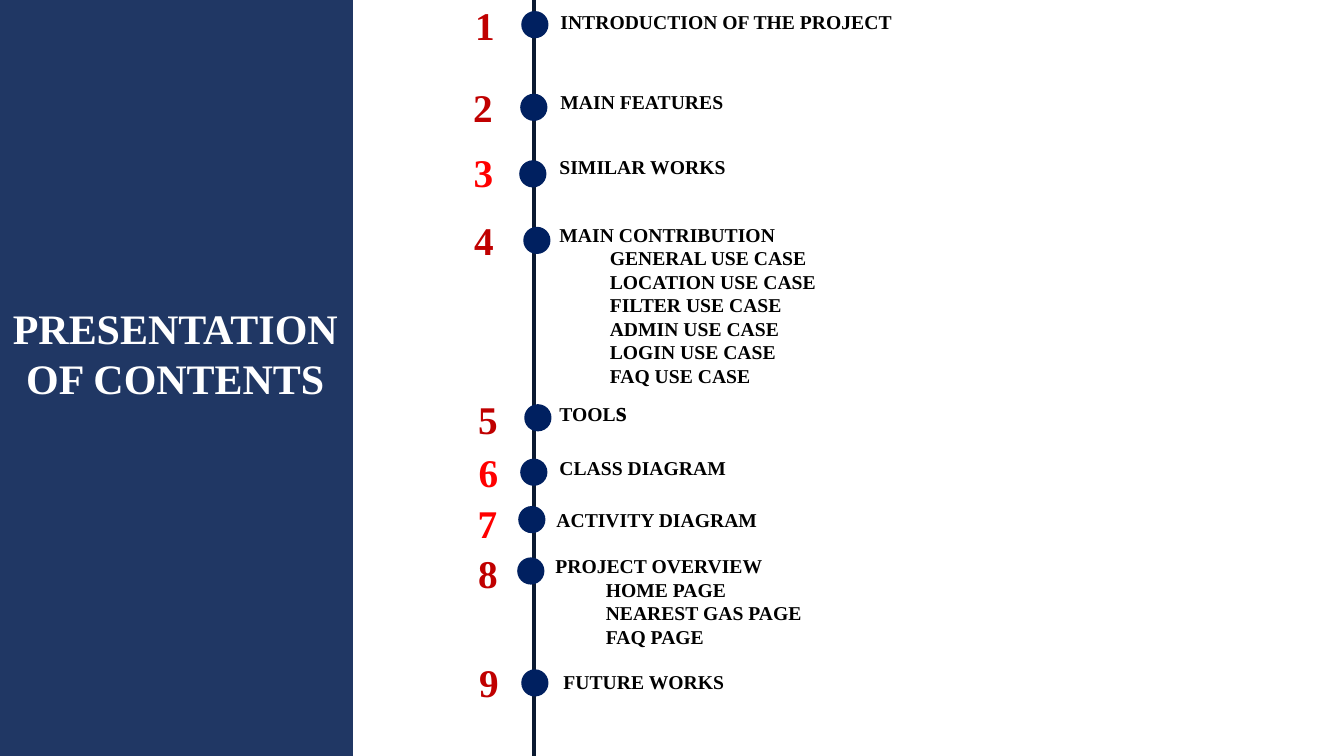
from lxml.etree import SubElement
from pptx import Presentation
from pptx.dml.color import RGBColor
from pptx.enum.shapes import MSO_CONNECTOR, MSO_SHAPE
from pptx.enum.text import MSO_ANCHOR, MSO_AUTO_SIZE, PP_ALIGN
from pptx.oxml.ns import qn
from pptx.util import Inches, Pt

FONT = "Times New Roman"
COLORS = {
    "panel": "203764", "line": "0A1931", "dot": "002060", "dark": "C00000",
    "red": "FF0000", "text": "000000", "white": "FFFFFF",
}
DOT = 0.27
ITEMS = [
    ("dark", (4.46, -0.04, 0.7), (5.17, 0.11), (5.46, 0.05, 6.25, 0.47),
     "INTRODUCTION OF THE PROJECT", []),
    ("dark", (4.44, 0.78, 0.7), (5.16, 0.93), (5.46, 0.84, 7.61, 0.34),
     "MAIN FEATURES", []),
    ("red", (4.6, 1.42, 0.37), (5.15, 1.59), (5.45, 1.49, 4.19, 0.34),
     "SIMILAR WORKS", []),
    ("dark", (4.45, 2.1, 0.7), (5.19, 2.25), (5.45, 2.16, 5.41, 1.75),
     "MAIN CONTRIBUTION",
     ["GENERAL USE CASE", "LOCATION USE CASE", "FILTER USE CASE",
      "ADMIN USE CASE", "LOGIN USE CASE", "FAQ USE CASE"]),
    ("dark", (4.49, 3.87, 0.7), (5.2, 4.01), (5.45, 3.85, 5.41, 0.44),
     "TOOL", []),
    ("red", (4.65, 4.4, 0.37), (5.16, 4.55), (5.45, 4.47, 3.14, 0.34),
     "CLASS DIAGRAM", []),
    ("red", (4.59, 4.9, 0.49), (5.14, 5.02), (5.42, 4.99, 3.15, 0.34),
     "ACTIVITY DIAGRAM", []),
    ("dark", (4.49, 5.4, 0.7), (5.13, 5.53), (5.41, 5.45, 3.15, 1.04),
     "PROJECT OVERVIEW", ["HOME PAGE", "NEAREST GAS PAGE", "FAQ PAGE"]),
    ("dark", (4.5, 6.48, 0.7), (5.17, 6.64), (5.49, 6.6, 3.15, 0.34),
     "FUTURE WORKS", []),
]


class Deck:
    def __init__(self):
        self.prs = Presentation()
        self.prs.slide_width = Inches(13.33)
        self.prs.slide_height = Inches(7.5)
        self.slide = self.prs.slides.add_slide(self.prs.slide_layouts[5])
        self.shapes = self.slide.shapes

    def color(self, name):
        return RGBColor.from_string(COLORS[name])

    def shape(self, kind, box, fill):
        shape = self.shapes.add_shape(kind, *map(Inches, box))
        shape.shadow.inherit = False
        shape.fill.solid()
        shape.fill.fore_color.rgb = self.color(fill)
        shape.line.fill.background()

    def line(self, start, end, color, width):
        line = self.shapes.add_connector(
            MSO_CONNECTOR.STRAIGHT, *map(Inches, start + end))
        line.line.color.rgb = self.color(color)
        line.line.width = Pt(width)
        SubElement(line._element.spPr, qn("a:effectLst"))

    def run(self, para, text, size, color):
        run = para.add_run()
        run.text = text
        run.font.name = FONT
        run.font.size = Pt(size)
        run.font.bold = True
        run.font.color.rgb = self.color(color)

    def frame(self, shape):
        frame = shape.text_frame
        frame.word_wrap = True
        frame.auto_size = MSO_AUTO_SIZE.NONE
        frame.vertical_anchor = MSO_ANCHOR.TOP
        return frame

    def title(self, box, text):
        title = self.shapes.title
        title.left, title.top, title.width, title.height = map(Inches, box)
        self.shapes._spTree.append(title._element)
        para = self.frame(title).paragraphs[0]
        para.alignment = PP_ALIGN.CENTER
        self.run(para, text, 30, "white")

    def text(self, box, text, size, color, align=PP_ALIGN.LEFT):
        frame = self.frame(self.shapes.add_textbox(*map(Inches, box)))
        para = frame.paragraphs[0]
        para.alignment = align
        self.run(para, text, size, color)
        return frame

    def entry(self, box, head, subs):
        frame = self.text(box, head, 14, "text")
        if head == "TOOL":
            self.run(frame.paragraphs[0], "s", 20, "text")
        for sub in subs:
            para = frame.add_paragraph()
            props = para._p.get_or_add_pPr()
            props.set("marL", str(Inches(0.5)))
            props.set("indent", "0")
            self.run(para, sub, 14, "text")


def main():
    deck = Deck()
    deck.line((5.3, 0), (5.3, 7.5), "line", 3)
    deck.shape(MSO_SHAPE.RECTANGLE, (-0.02, 0, 3.52, 7.5), "panel")
    deck.title((-0.02, 2.95, 3.52, 1.11), "PRESENTATION OF CONTENTS")
    for num, (color, place, dot, box, head, subs) in enumerate(ITEMS, 1):
        deck.shape(MSO_SHAPE.OVAL, dot + (DOT, DOT), "dot")
        deck.text(place + (0.57,), str(num), 28, color, PP_ALIGN.CENTER)
        deck.entry(box, head, subs)
    deck.prs.save("out.pptx")


if __name__ == "__main__":
    main()
